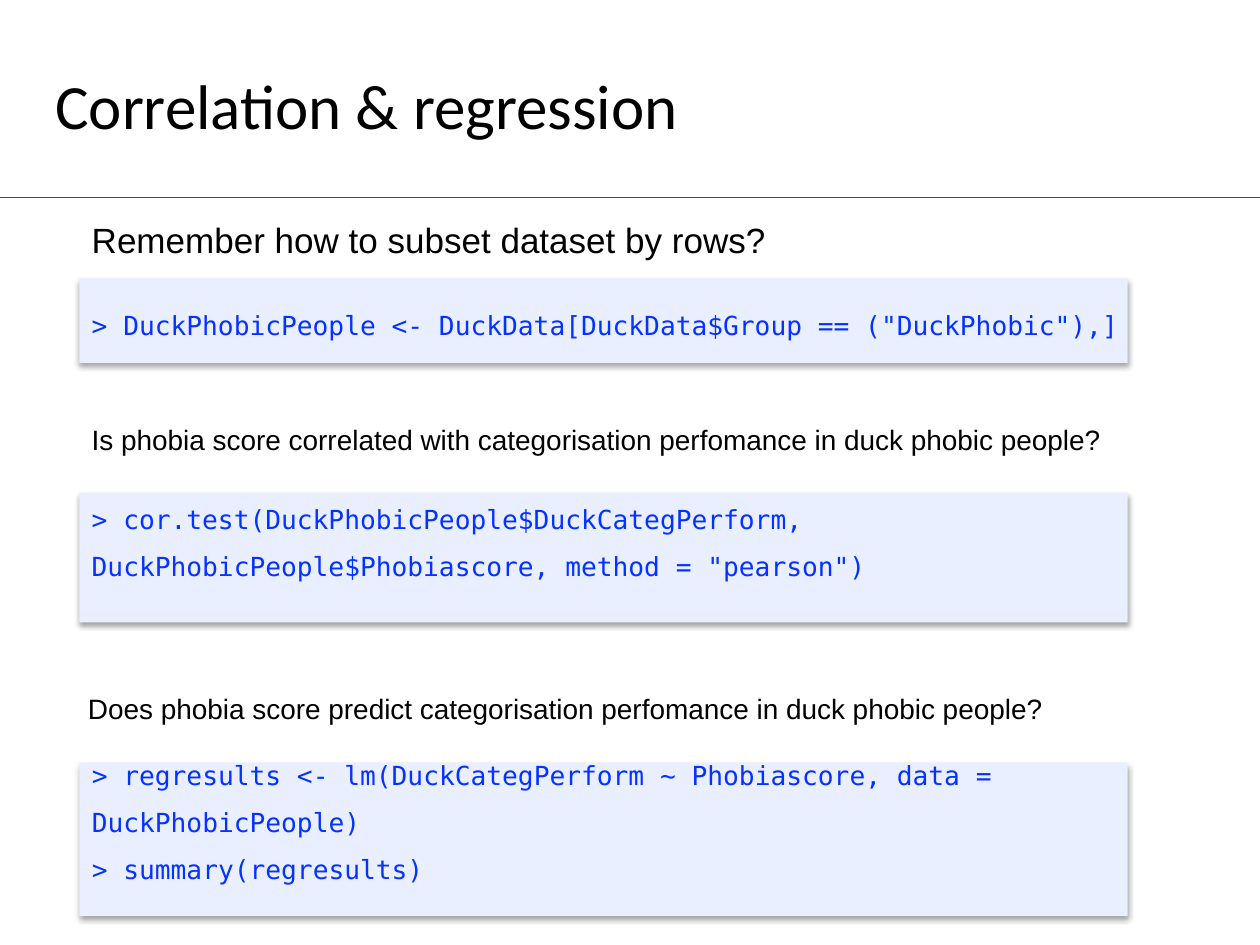
from dataclasses import dataclass

from lxml.etree import SubElement
from pptx import Presentation
from pptx.dml.color import RGBColor
from pptx.enum.shapes import MSO_CONNECTOR, MSO_SHAPE
from pptx.enum.text import MSO_AUTO_SIZE
from pptx.oxml.ns import qn
from pptx.slide import Slide
from pptx.util import Inches, Pt

BLACK = RGBColor(0x00, 0x00, 0x00)
RULE_GREY = RGBColor(0x4B, 0x4B, 0x4B)
PANEL_BLUE = RGBColor(0xEA, 0xEF, 0xFF)
CODE_BLUE = RGBColor(0x04, 0x32, 0xFF)
LEFT = 0.63
PANEL_WIDTH = 8.32


@dataclass(frozen=True)
class TextStyle:
    font: str
    size: int
    color: RGBColor
    spacing: float = 1.5
    wrap: bool = True


@dataclass(frozen=True)
class Label:
    box: tuple[float, float, float, float]
    lines: tuple[str, ...]
    style: TextStyle


@dataclass(frozen=True)
class Section:
    question: Label
    panel_top: float
    panel_height: float
    code: Label


TITLE = TextStyle("Calibri", 36, BLACK, 1.0, False)
LEAD = TextStyle("Arial", 20, BLACK)
QUESTION = TextStyle("Arial", 16, BLACK)
CODE = TextStyle("DejaVu Sans Mono", 15, CODE_BLUE)

SECTIONS = (
    Section(
        Label((LEFT, 1.52, 9.23, 0.58), ("Remember how to subset dataset by rows?",), LEAD),
        2.21, 0.67,
        Label((LEFT, 2.28, 8.9, 0.48),
              ('> DuckPhobicPeople <- DuckData[DuckData$Group == ("DuckPhobic"),]',), CODE),
    ),
    Section(
        Label((LEFT, 3.17, 9.23, 0.48),
              ("Is phobia score correlated with categorisation perfomance in duck phobic people?",),
              QUESTION),
        3.91, 1.03,
        Label((LEFT, 3.82, 9.2, 0.86),
              ("> cor.test(DuckPhobicPeople$DuckCategPerform, "
               'DuckPhobicPeople$Phobiascore, method = "pearson")',), CODE),
    ),
    Section(
        Label((0.6, 5.31, 9.23, 0.48),
              ("Does phobia score predict categorisation perfomance in duck phobic people?",),
              QUESTION),
        6.05, 1.22,
        Label((LEFT, 5.85, 8.15, 1.24),
              ("> regresults <- lm(DuckCategPerform ~ Phobiascore, data = DuckPhobicPeople)",
               "> summary(regresults)"), CODE),
    ),
)


def add_label(s: Slide, label: Label) -> None:
    style = label.style
    tf = s.shapes.add_textbox(*map(Inches, label.box)).text_frame
    tf.word_wrap = style.wrap
    tf.auto_size = MSO_AUTO_SIZE.SHAPE_TO_FIT_TEXT
    for i, line in enumerate(label.lines):
        p = tf.add_paragraph() if i else tf.paragraphs[0]
        p.line_spacing = style.spacing
        r = p.add_run()
        r.text = line
        r.font.name = style.font
        r.font.size = Pt(style.size)
        r.font.color.rgb = style.color


def add_panel(s: Slide, top: float, height: float) -> None:
    sp = s.shapes.add_shape(MSO_SHAPE.RECTANGLE, Inches(LEFT), Inches(top),
                            Inches(PANEL_WIDTH), Inches(height))
    sp.fill.solid()
    sp.fill.fore_color.rgb = PANEL_BLUE
    sp.line.fill.background()
    sp.shadow.inherit = False
    effects = sp._element.spPr.find(qn("a:effectLst"))
    shadow = SubElement(effects, qn("a:outerShdw"), blurRad=str(Pt(3.1)),
                        dist=str(Pt(1.8)), dir="5400000", rotWithShape="0")
    color = SubElement(shadow, qn("a:srgbClr"), val=str(BLACK))
    SubElement(color, qn("a:alpha"), val="35000")


def add_rule(s: Slide, y: float) -> None:
    rule = s.shapes.add_connector(MSO_CONNECTOR.STRAIGHT, Inches(10), Inches(y),
                                  Inches(0), Inches(y))
    rule.line.color.rgb = RULE_GREY
    rule.line.width = Pt(0.75)
    SubElement(rule._element.spPr, qn("a:effectLst"))


def main() -> None:
    """Build the correlation and regression slide."""
    prs = Presentation()
    prs.slide_width, prs.slide_height = Inches(10), Inches(7.5)
    s = prs.slides.add_slide(prs.slide_layouts[6])
    add_rule(s, 1.57)
    add_label(s, Label((0.34, 0.48, 5.22, 0.71), ("Correlation & regression",), TITLE))
    for section in SECTIONS:
        add_label(s, section.question)
        add_panel(s, section.panel_top, section.panel_height)
        add_label(s, section.code)
    prs.save("out.pptx")


if __name__ == "__main__":
    main()
